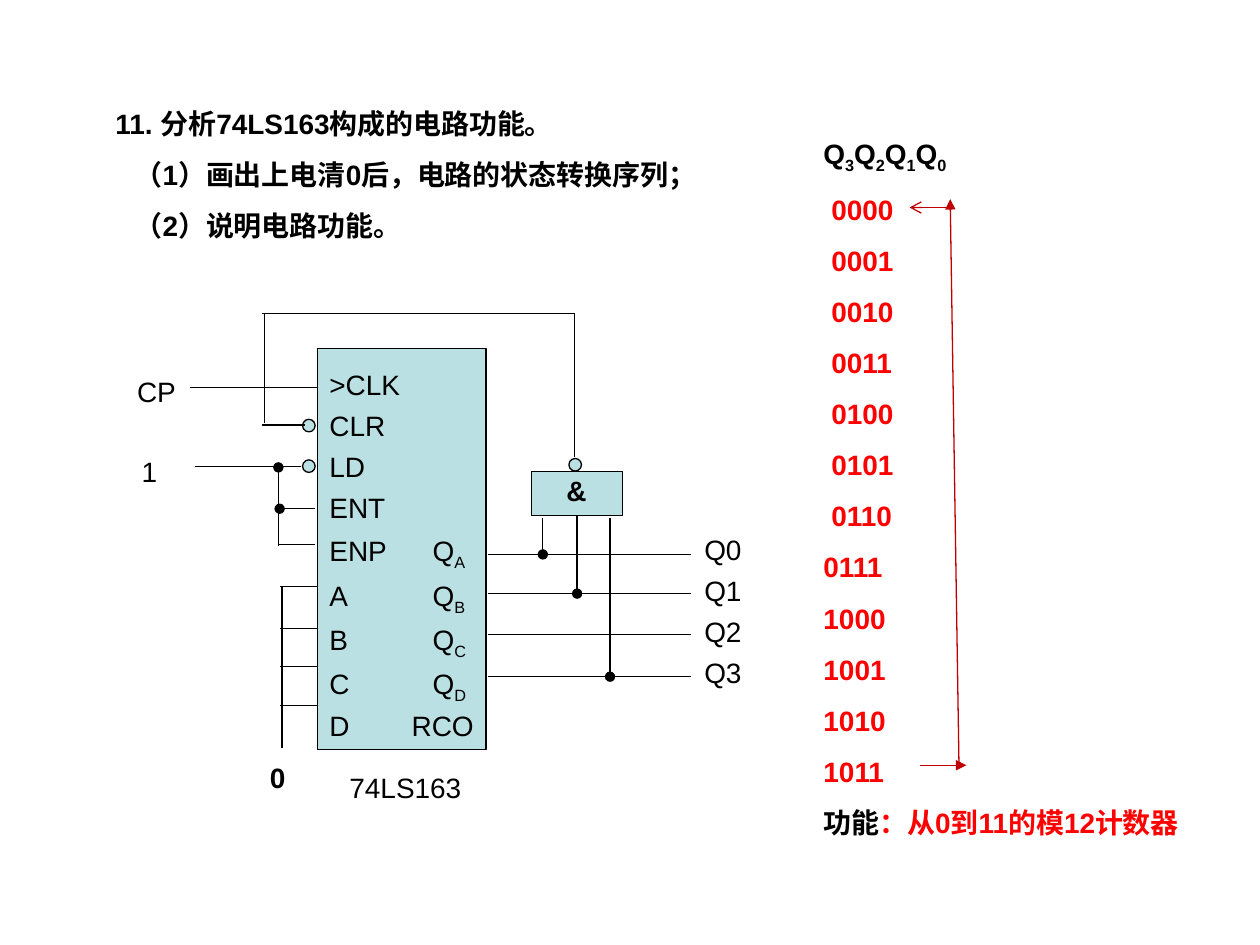
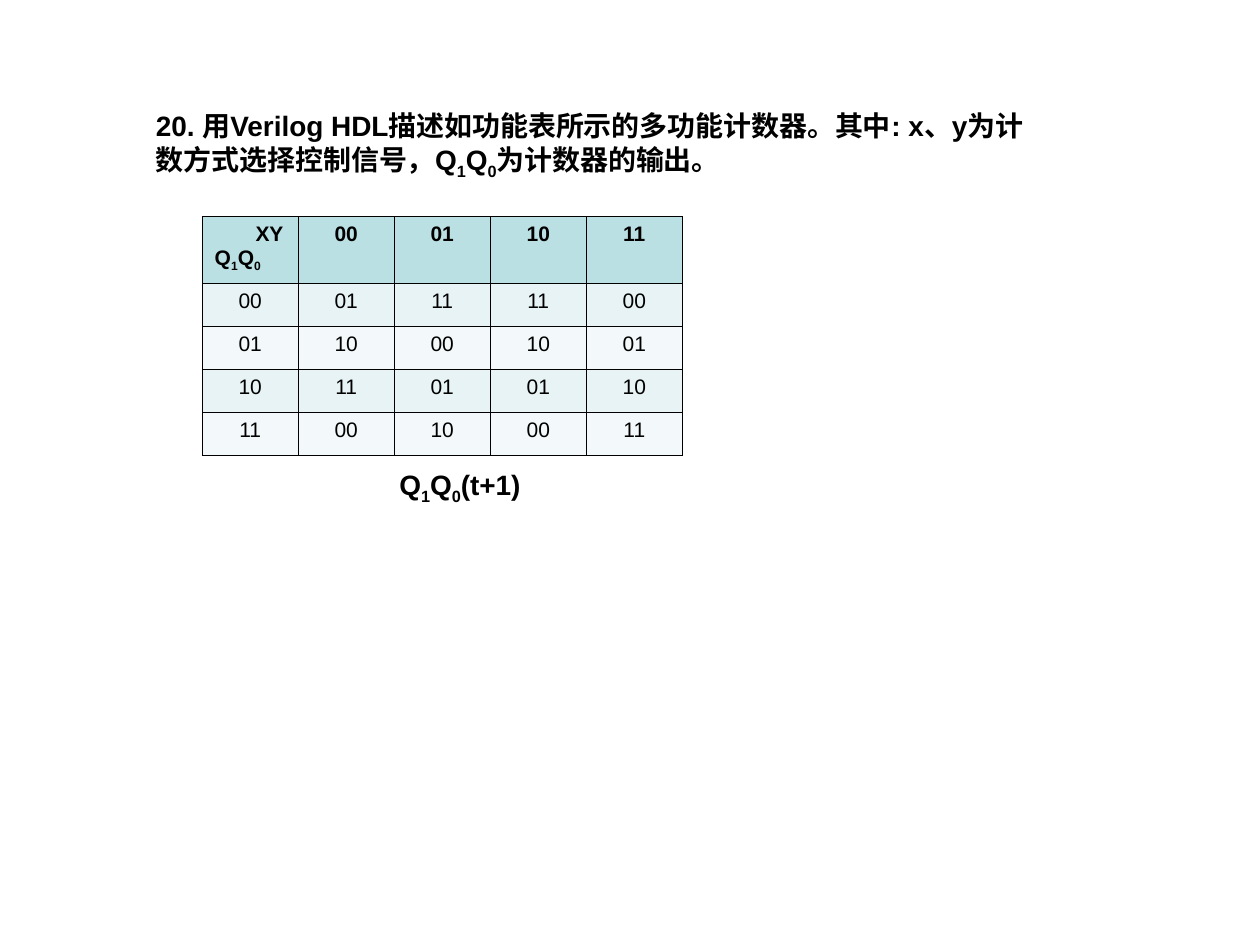
from dataclasses import dataclass

from lxml.etree import SubElement
from pptx import Presentation
from pptx.dml.color import RGBColor
from pptx.enum.shapes import MSO_CONNECTOR, MSO_SHAPE
from pptx.enum.text import MSO_ANCHOR, MSO_AUTO_SIZE, PP_ALIGN
from pptx.oxml.ns import qn
from pptx.util import Pt


@dataclass(frozen=True)
class Theme:
    font: str = "Arial"
    body: int = 16
    small: int = 12
    ink: RGBColor = RGBColor(0, 0, 0)
    answer: RGBColor = RGBColor(0xFF, 0, 0)
    arrow: RGBColor = RGBColor(0xC0, 0, 0)
    block: RGBColor = RGBColor(0xBB, 0xE0, 0xE3)
    bands: tuple = (RGBColor(0xE7, 0xF3, 0xF4), RGBColor(0xF3, 0xF9, 0xFA))
    line: float = 0.75
    border: float = 0.45


theme = Theme()
PLAIN = {"name": theme.font, "size": Pt(theme.body), "bold": False}
BOLD = PLAIN | {"bold": True}
SPACED = {"space_before": Pt(10), "alignment": PP_ALIGN.LEFT}
CENTRED = SPACED | {"alignment": PP_ALIGN.CENTER}
TIGHT = {"line_spacing": 0.7}


def write(paragraph, text, font_format, paragraph_format, color=theme.ink, indent=0):
    """Append text to a paragraph; the character after each underscore is a subscript."""
    for name, value in paragraph_format.items():
        setattr(paragraph, name, value)
    if indent:
        paragraph._p.get_or_add_pPr().set("marL", str(Pt(indent)))
    first, *rest = text.split("_")
    pieces = [(first, False)]
    for part in rest:
        pieces += [(part[0], True), (part[1:], False)]
    for piece, subscript in pieces:
        if not piece:
            continue
        run = paragraph.add_run()
        run.text = piece
        for name, value in font_format.items():
            setattr(run.font, name, value)
        run.font.color.rgb = color
        if subscript:
            run.font._element.set("baseline", "-25000")


def place_text(slide, box, lines, font_format, paragraph_format, title=False):
    """Fill the title or a new text box, one paragraph per line, and return its text frame."""
    shape = slide.shapes.title if title else slide.shapes.add_textbox(*map(Pt, box))
    for name, value in zip(("left", "top", "width", "height"), box):
        setattr(shape, name, Pt(value))
    frame = shape.text_frame
    frame.word_wrap = True
    frame.auto_size = MSO_AUTO_SIZE.SHAPE_TO_FIT_TEXT
    frame.vertical_anchor = MSO_ANCHOR.TOP
    for index, line in enumerate(lines):
        paragraph = frame.add_paragraph() if index else frame.paragraphs[0]
        write(paragraph, line, font_format, paragraph_format)
    return frame


presentation = Presentation()
presentation.slide_width, presentation.slide_height = Pt(720), Pt(540)
title_only = presentation.slide_layouts[5]

# Slide 1: counter circuit and its state sequence
slide = presentation.slides.add_slide(title_only)
question = place_text(slide, (58.8, 57.2, 391, 85), ["11. 分析74LS163构成的电路功能。"], BOLD, SPACED, title=True)
for task in ("（1）画出上电清0后，电路的状态转换序列；", "（2）说明电路功能。"):
    write(question.add_paragraph(), task, BOLD, SPACED, indent=11)

chip_and_bubbles = [
    (MSO_SHAPE.RECTANGLE, 181.4, 199.2, 96.4, 229),
    (MSO_SHAPE.OVAL, 172.9, 239.6, 7.2, 7.2),
    (MSO_SHAPE.OVAL, 172.9, 262.8, 7.2, 7.2),
    (MSO_SHAPE.OVAL, 325.1, 262, 7.2, 7.2),
    (MSO_SHAPE.RECTANGLE, 303.9, 269.4, 51.8, 25.2),
]
for kind, *box in chip_and_bubbles:
    shape = slide.shapes.add_shape(kind, *map(Pt, box))
    shape.shadow.inherit = False
    shape.fill.solid()
    shape.fill.fore_color.rgb = theme.block
    shape.line.color.rgb = theme.ink
    shape.line.width = Pt(theme.line)
gate = shape

output_rows = (316.8, 339.2, 362.4, 386.7)
data_rows = (335, 359, 381, 403)
gate_inputs = ((310.2, output_rows[0]), (329.8, output_rows[1]), (348.6, output_rows[3]))

# Each wire: x and y of its start, x and y of its end, arrowheads at start and end
wires = [
    (181.4, 221.6, 108.7, 221.6, None, None),
    (172.1, 266.4, 111.6, 266.4, None, None),
    (180, 290.7, 159.8, 290.7, None, "oval"),
    (180, 311, 159.1, 311, None, None),
    (159.1, 267.1, 159.1, 311.8, "oval", None),
    (328.5, 261.4, 328.5, 179.2, None, None),
    (328.5, 179.2, 149.8, 179.2, None, None),
    (151, 179.2, 151, 241.9, None, None),
    (174.2, 242.9, 149.8, 242.9, None, None),
    (161.1, 335, 161.1, 427.7, None, None),
]
wires += [(279, y, 395, y, None, None) for y in output_rows]
wires += [(181, y, 160, y, None, None) for y in data_rows]
wires += [(x, 296, x, y, None, "oval") for x, y in gate_inputs]
loop_arrows = [
    (525.6, 437.3, 552.2, 437.3, None, "triangle"),
    (548, 437.3, 543, 113.8, None, "triangle"),
    (543, 118.6, 519.8, 118.6, None, "arrow"),
]
for color, group in ((theme.ink, wires), (theme.arrow, loop_arrows)):
    for *ends, head, tail in group:
        connector = slide.shapes.add_connector(MSO_CONNECTOR.STRAIGHT, *map(Pt, ends))
        if tuple(ends[2:]) == gate_inputs[1]:
            connector.begin_connect(gate, 2)
        connector.line.color.rgb = color
        connector.line.width = Pt(theme.line)
        properties = connector._element.spPr
        for tag, arrowhead in (("a:headEnd", head), ("a:tailEnd", tail)):
            if arrowhead:
                SubElement(properties.find(qn("a:ln")), qn(tag), type=arrowhead)
        SubElement(properties, qn("a:effectLst"))

labels = [
    ("74LS163", 183.4, 436.6, 96.5, PLAIN),
    ("CP", 65.7, 210.5, 47.5, PLAIN),
    ("1", 69.6, 256.3, 31.7, PLAIN),
    ("0", 138.1, 431.3, 41, BOLD),
    ("&", 316.1, 267.1, 26.6, BOLD),
]
for label, left, top, width, font_format in labels:
    place_text(slide, (left, top, width, 26.6), [label], font_format, CENTRED)

outputs = [f"Q{index}" for index in range(4)]
place_text(slide, (392.2, 306, 41.8, 91.4), outputs, PLAIN, CENTRED | TIGHT)

pins = [">CLK", "CLR", "LD", "ENT", "ENP\tQ_A", "A\tQ_B", "B\tQ_C", "C\tQ_D", "D\tRCO"]
pin_frame = place_text(slide, (181.2, 211.6, 100, 216), pins, PLAIN, SPACED | TIGHT)
for pin, paragraph in zip(pins, pin_frame.paragraphs):
    if "\t" in pin:
        tab_list = SubElement(paragraph._p.get_or_add_pPr(), qn("a:tabLst"))
        SubElement(tab_list, qn("a:tab"), pos=str(Pt(47 if "RCO" in pin else 59)), algn="l")

states = place_text(slide, (463.5, 74.5, 223.2, 427.7), ["Q_3Q_2Q_1Q_0"], BOLD, SPACED)
for state in range(12):
    write(states.add_paragraph(), f"{state:04b}", BOLD, SPACED, theme.answer, indent=4.5 if state < 7 else 0)
conclusion = states.add_paragraph()
write(conclusion, "功能", BOLD, SPACED)
write(conclusion, "：从0到11的模12计数器", BOLD, SPACED, theme.answer)

# Slide 2: function table of the multi-mode counter
slide = presentation.slides.add_slide(title_only)
place_text(
    slide, (81.9, 58.5, 512.6, 48.2),
    ["20. 用Verilog HDL描述如功能表所示的多功能计数器。其中: x、y为计数方式选择控制信号，Q_1Q_0为计数器的输出。"],
    BOLD, SPACED, title=True,
)

rows = [
    ["", "00", "01", "10", "11"],
    ["00", "01", "11", "11", "00"],
    ["01", "10", "00", "10", "01"],
    ["10", "11", "01", "01", "10"],
    ["11", "00", "10", "00", "11"],
]
table = slide.shapes.add_table(5, 5, Pt(115.5), Pt(123.6), Pt(274.5), Pt(136.6)).table
table.first_row = table.horz_banding = False
for column in table.columns:
    column.width = Pt(54.9)
for row_index, values in enumerate(rows):
    table.rows[row_index].height = Pt(24.6 if row_index else 38.2)
    cell_font = {"name": theme.font, "size": Pt(theme.small), "bold": row_index == 0}
    for column_index, value in enumerate(values):
        cell = table.cell(row_index, column_index)
        properties = cell._tc.get_or_add_tcPr()
        for side in ("L", "R", "T", "B"):
            border = SubElement(properties, qn(f"a:ln{side}"), w=str(Pt(theme.border)))
            fill = SubElement(border, qn("a:solidFill"))
            SubElement(fill, qn("a:srgbClr"), val=str(theme.ink))
        cell.fill.solid()
        cell.fill.fore_color.rgb = theme.bands[(row_index - 1) % 2] if row_index else theme.block
        if value:
            write(cell.text_frame.paragraphs[0], value, cell_font, {"alignment": PP_ALIGN.CENTER})
        else:
            write(cell.text_frame.paragraphs[0], "XY", cell_font, {}, indent=23.3)
            write(cell.text_frame.add_paragraph(), "Q_1Q_0", cell_font, {})

place_text(slide, (203.8, 263.5, 118.1, 29.5), ["Q_1Q_0(t+1)"], BOLD, CENTRED)

presentation.save("out.pptx")
